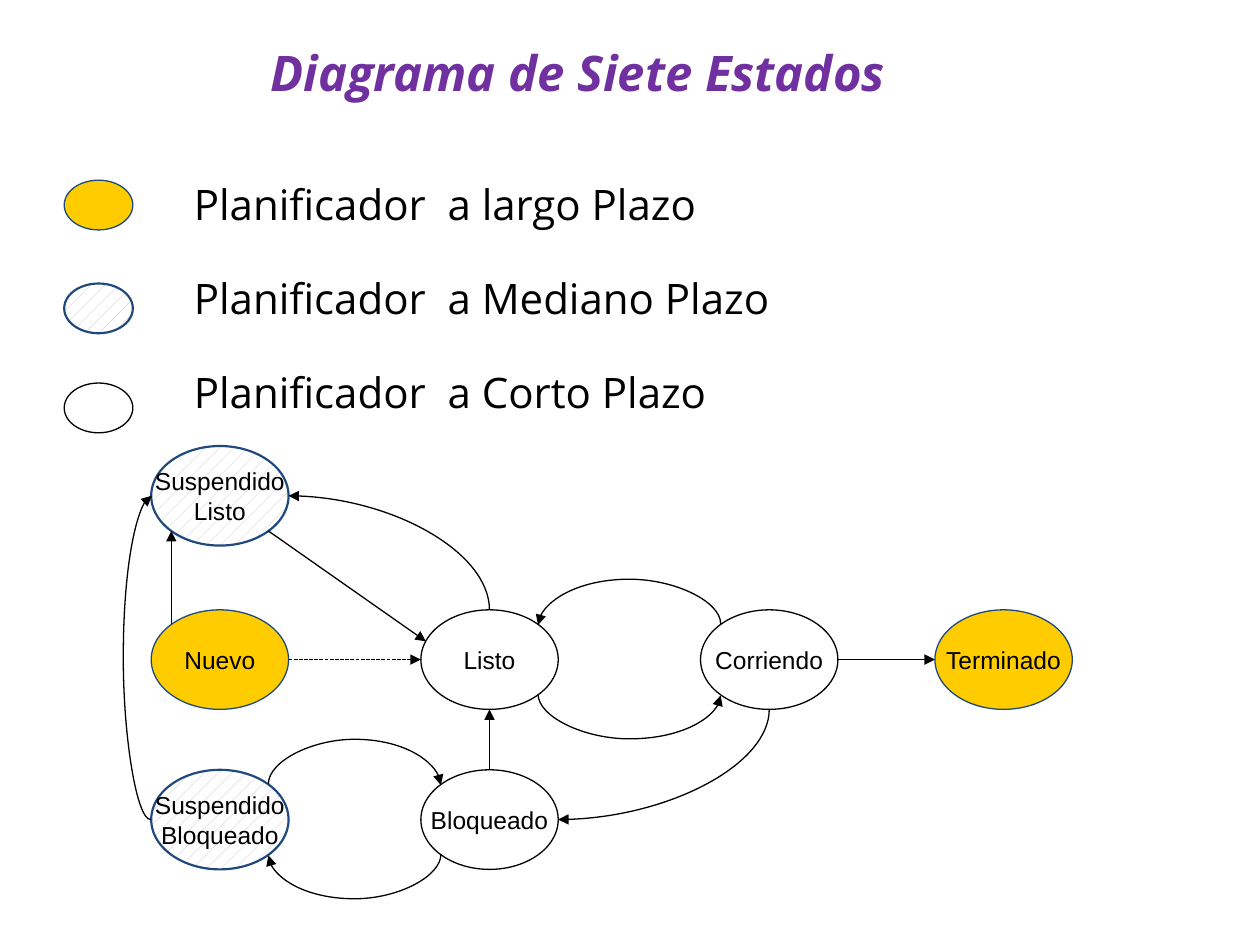
import math

import pptx
import pptx.dml.color
import pptx.enum.dml
import pptx.enum.shapes
import pptx.enum.text
import pptx.oxml
import pptx.oxml.ns
import pptx.util

Inches = pptx.util.Inches
Pt = pptx.util.Pt
RGBColor = pptx.dml.color.RGBColor
CONNECTOR = pptx.enum.shapes.MSO_CONNECTOR
ALIGN = pptx.enum.text.PP_ALIGN
ANCHOR = pptx.enum.text.MSO_ANCHOR
qn = pptx.oxml.ns.qn

BLACK = RGBColor(0x00, 0x00, 0x00)
WHITE = RGBColor(0xFF, 0xFF, 0xFF)
PURPLE = RGBColor(0x70, 0x30, 0xA0)
YELLOW = RGBColor(0xFF, 0xCC, 0x00)
NAVY = RGBColor(0x1F, 0x49, 0x7D)
SILVER = RGBColor(0xC0, 0xC0, 0xC0)

LONG, MEDIUM, SHORT = "long", "medium", "short"
NODE_W, NODE_H = 1.09, 0.79
# Connection sites of an ellipse, counted anticlockwise from the top
TOP, TOP_LEFT, LEFT, BOTTOM_LEFT, BOTTOM, BOTTOM_RIGHT, RIGHT, TOP_RIGHT = range(8)
FLAT = 0.01  # least extent of an arc between two level ends


def add_run(p, text, size, font, color):
    r = p.add_run()
    r.text = text
    r.font.size = Pt(size)
    r.font.name = font
    r.font.color.rgb = color
    return r


def add_ellipse(s, left, top, width, height, scheduler):
    """Ellipse painted in the style of its scheduler."""
    sp = s.shapes.add_shape(pptx.enum.shapes.MSO_SHAPE.OVAL, Inches(left),
                            Inches(top), Inches(width), Inches(height))
    sp.shadow.inherit = False
    if scheduler == MEDIUM:
        sp.fill.patterned()
        sp.fill.pattern = pptx.enum.dml.MSO_PATTERN.PERCENT_10
        sp.fill.fore_color.rgb = SILVER
        sp.fill.back_color.rgb = WHITE
    else:
        sp.fill.solid()
        sp.fill.fore_color.rgb = YELLOW if scheduler == LONG else WHITE
    sp.line.color.rgb = BLACK if scheduler == SHORT else NAVY
    sp.line.width = Pt(1.25 if scheduler == MEDIUM else 0.75)
    return sp


def add_state(s, left, top, scheduler, lines):
    sp = add_ellipse(s, left, top, NODE_W, NODE_H, scheduler)
    tf = sp.text_frame
    tf.word_wrap = False
    tf.vertical_anchor = ANCHOR.MIDDLE
    for i, line in enumerate(lines):
        p = tf.add_paragraph() if i else tf.paragraphs[0]
        p.alignment = ALIGN.CENTER
        add_run(p, line, 14, "Arial", BLACK)
    return sp


def site_point(sp, site):
    angle = math.radians(90 + 45 * site)
    x = sp.left + sp.width / 2 * (1 + math.cos(angle))
    y = sp.top + sp.height / 2 * (1 - math.sin(angle))
    return x / Inches(1), y / Inches(1)


def add_arrow(s, kind, begin, end):
    cxn = s.shapes.add_connector(kind, *(Inches(v) for v in (*begin, *end)))
    cxn.line.color.rgb = BLACK
    cxn.line.width = Pt(0.75)
    sp_pr = cxn._element.spPr
    ln = sp_pr.find(qn("a:ln"))
    ln.append(ln.makeelement(qn("a:tailEnd"), {"type": "triangle"}))
    sp_pr.append(sp_pr.makeelement(qn("a:effectLst"), {}))
    return cxn


def glue(cxn, source, source_site, target, target_site):
    ends = cxn._element.nvCxnSpPr.cNvCxnSpPr
    for end, sp, site in ((ends.get_or_add_stCxn(), source, source_site),
                          (ends.get_or_add_endCxn(), target, target_site)):
        end.set("id", str(sp.shape_id))
        end.set("idx", str(site))


def add_straight(s, source, source_site, target, target_site):
    cxn = add_arrow(s, CONNECTOR.STRAIGHT, site_point(source, source_site),
                    site_point(target, target_site))
    glue(cxn, source, source_site, target, target_site)
    return cxn


def add_curve(s, source, source_site, target, target_site, bulge=None):
    """Curve that bulges by some inches (down or right is positive), or makes
    a quarter turn without a bulge. Only one from the left site leaves sideways."""
    x1, y1 = site_point(source, source_site)
    x2, y2 = site_point(target, target_site)
    dx, dy = x2 - x1, y2 - y1
    upright = source_site != LEFT
    # An upright curve is laid out sideways about its centre, then turned 90 degrees
    w, h = (dy, -dx) if upright else (dx, dy)
    if bulge is not None:
        w = FLAT
    cx, cy = (x1 + x2) / 2, (y1 + y2) / 2
    cxn = add_arrow(s, CONNECTOR.CURVE, (cx - w / 2, cy - h / 2),
                    (cx + w / 2, cy + h / 2))
    if upright:
        cxn._element.spPr.find(qn("a:xfrm")).set("rot", str(90 * 60000))
    geom = cxn._element.spPr.find(qn("a:prstGeom"))
    if bulge is None:
        geom.set("prst", "curvedConnector2")
    else:
        guides = geom.find(qn("a:avLst"))
        guides.append(guides.makeelement(qn("a:gd"), {
            "name": "adj1", "fmla": f"val {round(bulge / FLAT * 100000)}"}))
    glue(cxn, source, source_site, target, target_site)


def draw_title(s, left, top, width, height):
    sp = s.shapes.add_textbox(Inches(left), Inches(top), Inches(width), Inches(height))
    tf = sp.text_frame
    tf.word_wrap = True
    tf.vertical_anchor = ANCHOR.MIDDLE
    p = tf.paragraphs[0]
    p.alignment = ALIGN.CENTER
    r = add_run(p, "Diagrama de Siete Estados", 28, "Open Sans", PURPLE)
    r.font.bold = True
    r.font.italic = True


def draw_legend(s, left, top, width, height):
    rows = ((0.06, LONG, "Planificador  a largo Plazo"),
            (0.88, MEDIUM, "Planificador  a Mediano Plazo"),
            (1.67, SHORT, "Planificador  a Corto Plazo"))
    text_left = 0.93
    sp = s.shapes.add_textbox(Inches(left + text_left), Inches(top),
                              Inches(width - text_left), Inches(height))
    tf = sp.text_frame
    tf.word_wrap = True
    for i, (dy, scheduler, label) in enumerate(rows):
        add_ellipse(s, left, top + dy, NODE_W / 2, NODE_H / 2, scheduler)
        p = tf.add_paragraph() if i else tf.paragraphs[0]
        p.space_before = Pt(24.7 if i else 0)
        add_run(p, label, 24, "Open Sans", BLACK)


def draw_states(s, left, top):
    col1, col2, col3, col4 = (left + dx for dx in (0, 2.14, 4.36, 6.22))
    row1, row2, row3 = (top + dy for dy in (0, 1.3, 2.57))
    running = add_state(s, col3, row2, SHORT, ["Corriendo"])
    ready = add_state(s, col2, row2, SHORT, ["Listo"])
    blocked = add_state(s, col2, row3, SHORT, ["Bloqueado"])
    susp_blocked = add_state(s, col1, row3, MEDIUM, ["Suspendido", "Bloqueado"])
    susp_ready = add_state(s, col1, row1, MEDIUM, ["Suspendido", "Listo"])
    new = add_state(s, col1, row2, LONG, ["Nuevo"])
    done = add_state(s, col4, row2, LONG, ["Terminado"])

    admit = add_straight(s, new, RIGHT, ready, LEFT)
    admit.line.dash_style = pptx.enum.dml.MSO_LINE.SQUARE_DOT
    add_straight(s, running, RIGHT, done, LEFT)
    add_straight(s, blocked, TOP, ready, BOTTOM)
    add_straight(s, new, TOP_LEFT, susp_ready, BOTTOM_LEFT)
    add_arrow(s, CONNECTOR.STRAIGHT, site_point(susp_ready, BOTTOM_RIGHT),
              (col2 + 0.04, row2 + 0.25))

    add_curve(s, ready, BOTTOM_RIGHT, running, BOTTOM_LEFT, 0.36)
    add_curve(s, running, TOP_LEFT, ready, TOP_RIGHT, -0.36)
    add_curve(s, blocked, BOTTOM_LEFT, susp_blocked, BOTTOM_RIGHT, 0.36)
    add_curve(s, susp_blocked, TOP_RIGHT, blocked, TOP_LEFT, -0.36)
    add_curve(s, susp_blocked, LEFT, susp_ready, LEFT, -0.22)
    add_curve(s, running, BOTTOM, blocked, RIGHT)
    add_curve(s, ready, TOP, susp_ready, RIGHT)


def main():
    prs = pptx.Presentation()
    prs.slide_width, prs.slide_height = Inches(10), Inches(7.5)
    s = prs.slides.add_slide(prs.slide_layouts[6])
    draw_title(s, 0.5, 0.3, 8.17, 0.54)
    draw_states(s, 1.2, 3.54)
    draw_legend(s, 0.51, 1.37, 6.89, 3.33)
    prs.save("out.pptx")


if __name__ == "__main__":
    main()
